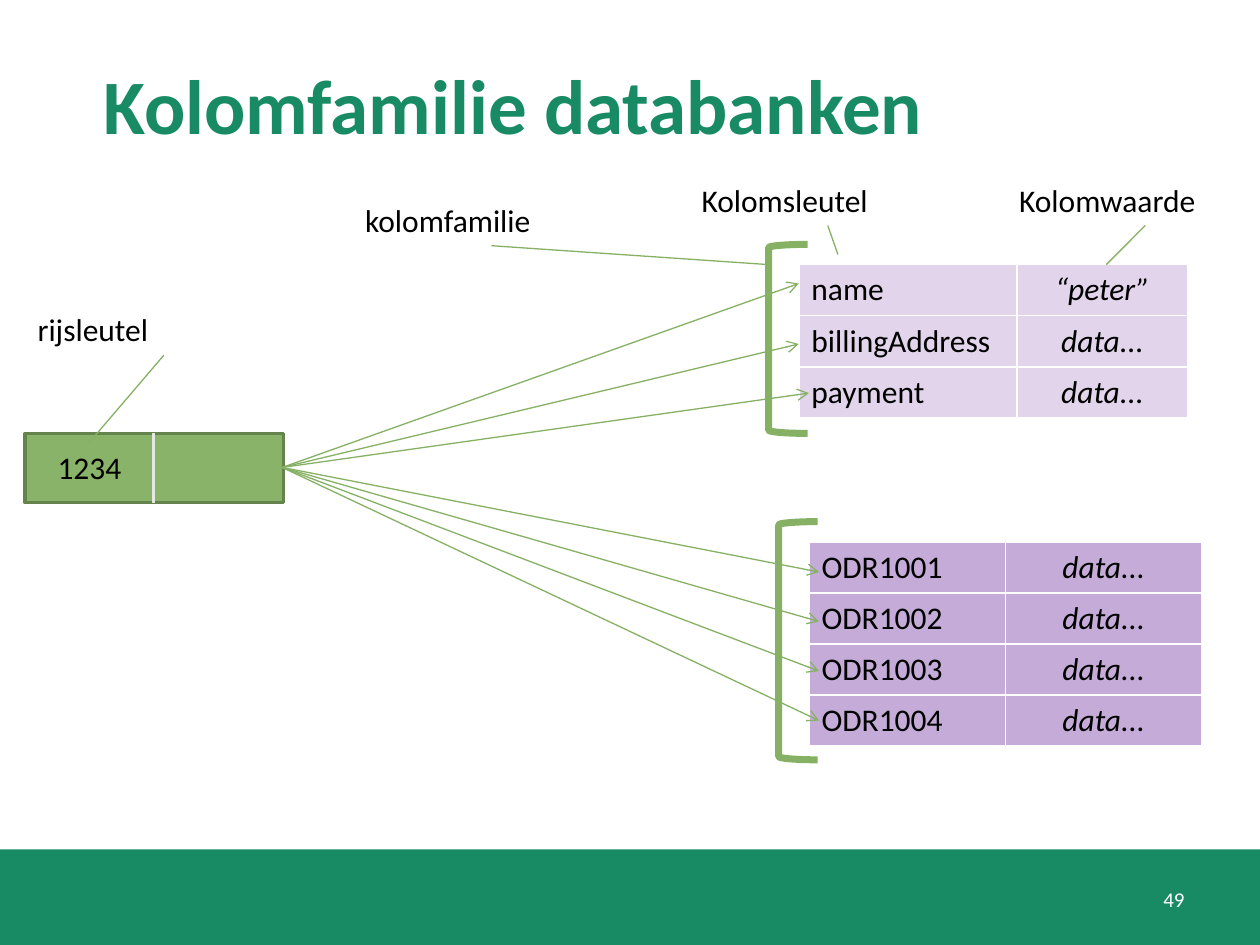
"""Builds the slide on column family databases."""
from lxml.etree import SubElement
from pptx import Presentation
from pptx.dml.color import RGBColor
from pptx.enum.shapes import MSO_CONNECTOR, MSO_SHAPE
from pptx.enum.text import MSO_ANCHOR, PP_ALIGN
from pptx.oxml.ns import qn
from pptx.util import Inches, Pt

FONT = "Calibri"
BLACK, WHITE, BRAND, GREEN = "000000", "FFFFFF", "198B64", "86B164"
ROW_HEIGHT = 0.405
ROW_KEY_RIGHT = (2.24, 3.71)

TEXTS = [
    ("Kolomfamilie databanken", (0.72, 0.2, 8.78, 1.25), 44, BRAND, True, PP_ALIGN.LEFT, MSO_ANCHOR.MIDDLE),
    ("49", (8.92, 6.94, 0.58, 0.4), 12, WHITE, False, PP_ALIGN.RIGHT, MSO_ANCHOR.MIDDLE),
    ("1234", (0.2, 3.51, 1.02, 0.4), 18, BLACK, False, PP_ALIGN.CENTER, MSO_ANCHOR.TOP),
]
LABELS = [
    ("rijsleutel", (0.2, 2.41), (1.3, 2.82), (0.71, 3.51)),
    ("kolomfamilie", (2.8, 1.55), (3.9, 1.95), (6.1, 2.1)),
    ("Kolomsleutel", (5.47, 1.39), (6.57, 1.79), (6.65, 2.02)),
    ("Kolomwaarde", (7.99, 1.39), (9.09, 1.79), (8.78, 2.1)),
]
FAMILIES = [
    {
        "rows": [("name", "“peter”"), ("billingAddress", "data..."), ("payment", "data...")],
        "corner": (6.34, 2.1), "widths": (1.73, 1.36), "fill": "E2D5EB",
        "bracket": (6.1, 1.94, 0.31, 1.5),
        "targets": [(6.34, 2.25), (6.34, 2.73), (6.42, 3.12)],
    },
    {
        "rows": [(f"ODR{number}", "data...") for number in range(1001, 1005)],
        "corner": (6.42, 4.3), "widths": (1.56, 1.56), "fill": "C5ABD7",
        "bracket": (6.18, 4.14, 0.31, 1.89),
        "targets": [(6.5, 4.54 + 0.393 * row) for row in range(4)],
    },
]


def color(value):
    return RGBColor.from_string(value)


def inches(values):
    return [Inches(value) for value in values]


def style_text(frame, text, size, fill, bold=False, align=PP_ALIGN.LEFT, italic=False):
    frame.text = text
    para = frame.paragraphs[0]
    para.alignment = align
    font = para.runs[0].font
    font.name, font.size, font.bold, font.italic = FONT, Pt(size), bold, italic
    font.color.rgb = color(fill)


def add_text(page, text, area, size, fill, bold, align, anchor):
    frame = page.shapes.add_textbox(*inches(area)).text_frame
    frame.word_wrap = True
    frame.vertical_anchor = anchor
    style_text(frame, text, size, fill, bold, align)


def add_box(page, kind, area, fill=None, line=None, width=0):
    box = page.shapes.add_shape(kind, *inches(area))
    box.shadow.inherit = False
    if fill:
        box.fill.solid()
        box.fill.fore_color.rgb = color(fill)
    else:
        box.fill.background()
    if line:
        box.line.color.rgb = color(line)
        box.line.width = Pt(width)
    else:
        box.line.fill.background()


def add_line(page, start, end, stroke=GREEN, width=0.75, arrow=False):
    line = page.shapes.add_connector(MSO_CONNECTOR.STRAIGHT, *inches(start + end))
    line.line.color.rgb = color(stroke)
    line.line.width = Pt(width)
    if arrow:
        SubElement(line.line._get_or_add_ln(), qn("a:tailEnd"), type="arrow")
    SubElement(line._element.spPr, qn("a:effectLst"))


def add_borders(cell):
    properties = cell._tc.get_or_add_tcPr()
    for side in ("lnL", "lnR", "lnT", "lnB"):
        border = SubElement(properties, qn(f"a:{side}"), w=str(Pt(1)))
        SubElement(SubElement(border, qn("a:solidFill")), qn("a:srgbClr"), val=WHITE)


def add_family_table(page, rows, corner, widths, fill):
    size = (sum(widths), ROW_HEIGHT * len(rows))
    table = page.shapes.add_table(len(rows), len(widths), *inches(corner + size)).table
    table.first_row = table.horz_banding = False
    for column, width in zip(table.columns, widths):
        column.width = Inches(width)
    for row, values in enumerate(rows):
        for column, text in enumerate(values):
            cell = table.cell(row, column)
            is_value = column == 1
            align = PP_ALIGN.CENTER if is_value else PP_ALIGN.LEFT
            style_text(cell.text_frame, text, 18, BLACK, align=align, italic=is_value)
            add_borders(cell)
            cell.fill.solid()
            cell.fill.fore_color.rgb = color(fill)


def main():
    deck = Presentation()
    deck.slide_width, deck.slide_height = inches((10, 7.5))
    page = deck.slides.add_slide(deck.slide_layouts[6])
    add_box(page, MSO_SHAPE.RECTANGLE, (0, 6.74, 10.04, 0.79), BRAND)
    add_box(page, MSO_SHAPE.RECTANGLE, (0.2, 3.44, 2.05, 0.55), "89B368", "65844D", 2)
    add_line(page, (1.22, 3.44), (1.22, 3.99), "E6E6E6", 2)
    for family in FAMILIES:
        add_family_table(page, family["rows"], family["corner"], family["widths"], family["fill"])
        add_box(page, MSO_SHAPE.LEFT_BRACKET, family["bracket"], line=GREEN, width=4)
        for target in family["targets"]:
            add_line(page, ROW_KEY_RIGHT, target, arrow=True)
    for text in TEXTS:
        add_text(page, *text)
    for text, corner, start, end in LABELS:
        add_text(page, text, corner + (2.2, 0.4), 18, BLACK, False, PP_ALIGN.LEFT, MSO_ANCHOR.TOP)
        add_line(page, start, end)
    deck.save("out.pptx")


if __name__ == "__main__":
    main()
